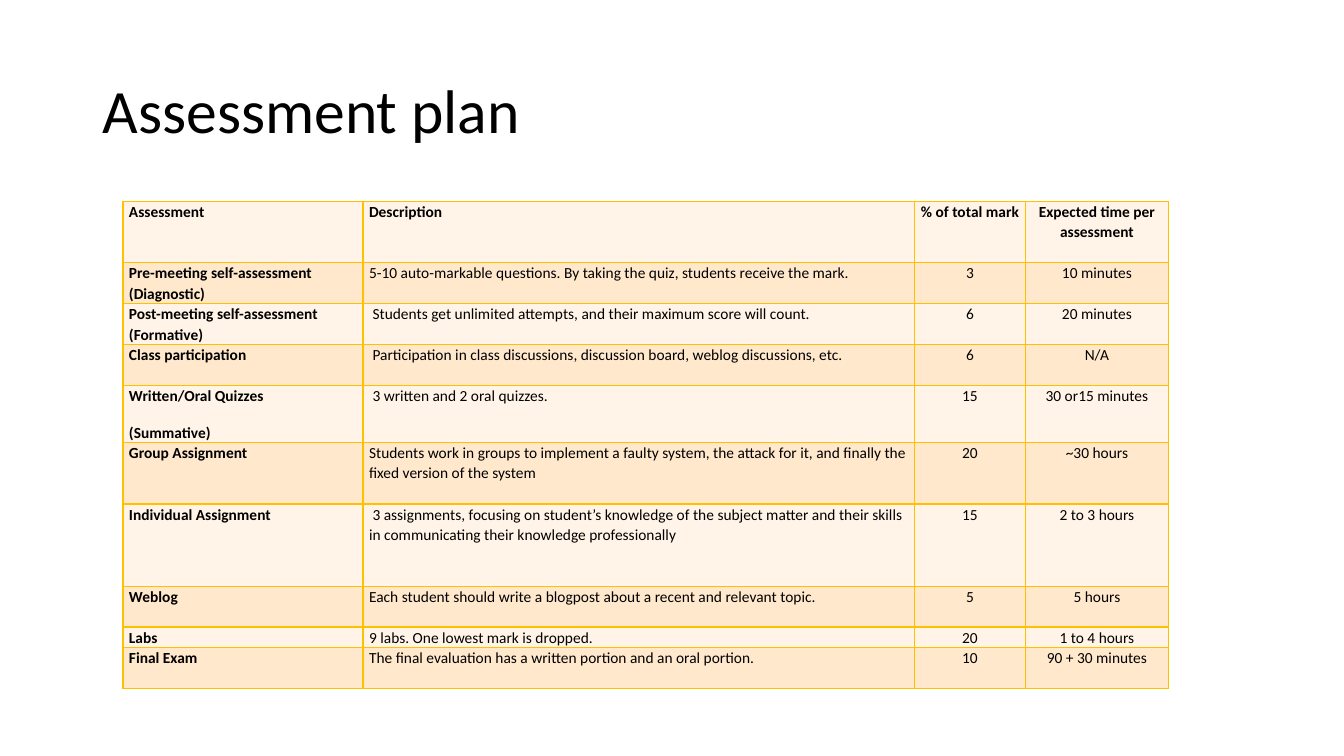
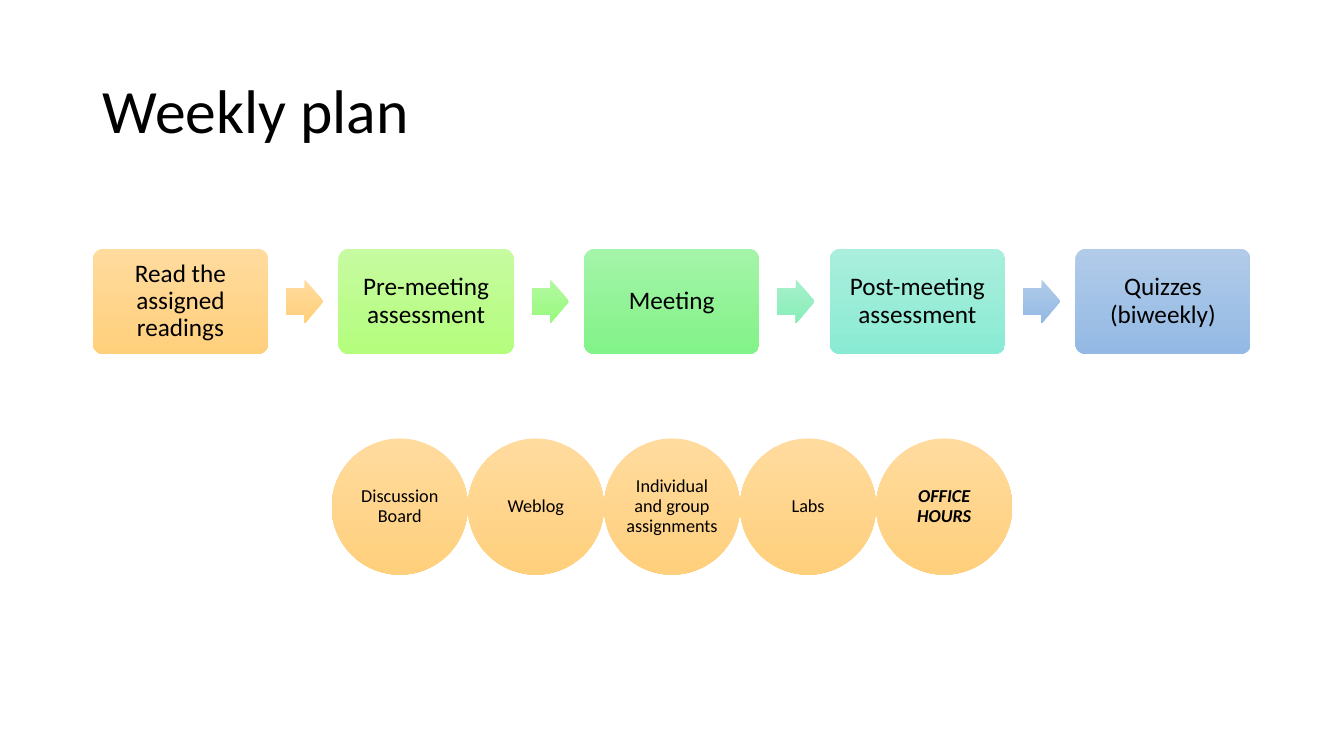
import dataclasses

import lxml.etree
import pptx
import pptx.dml.color
import pptx.enum.shapes
import pptx.enum.text
import pptx.oxml.ns
import pptx.util

Cm = pptx.util.Cm
Pt = pptx.util.Pt
SHAPE = pptx.enum.shapes.MSO_SHAPE
ALIGN = pptx.enum.text.PP_ALIGN
ANCHOR = pptx.enum.text.MSO_ANCHOR


@dataclasses.dataclass(frozen=True)
class Theme:
    font: str = "Calibri"
    ink: str = "000000"
    border: str = "FFC000"
    row_fills: tuple = ("FFF4E7", "FFE8CC")
    # Gradients run from top to bottom
    orange: tuple = ("FFDB9E", "FFD07C")
    lime: tuple = ("C6FBA0", "B4FD7D")
    leaf: tuple = ("B3F8A1", "98FA7E")
    green: tuple = ("A4F4A9", "82F388")
    mint: tuple = ("A8F0CA", "86EEB9")
    teal: tuple = ("AAEEDD", "89EBD3")
    blue: tuple = ("B1CBE9", "93B9E4")
    title_size: float = 44
    step_size: float = 18
    circle_size: float = 13
    table_size: float = 11
    tight: float = 0.9
    table_spacing: float = 1.07


class Slides:
    def __init__(self, theme):
        self.theme = theme
        self.deck = pptx.Presentation()
        self.deck.slide_width = Cm(33.87)
        self.deck.slide_height = Cm(19.05)
        self.page = None

    def color(self, value):
        return pptx.dml.color.RGBColor.from_string(value)

    def add_page(self, title):
        self.page = self.deck.slides.add_slide(self.deck.slide_layouts[6])
        box = self.page.shapes.add_textbox(Cm(2.34), Cm(1.02), Cm(29.21), Cm(3.68))
        box.text_frame.vertical_anchor = ANCHOR.MIDDLE
        self.add_text(box.text_frame, title, self.theme.title_size, ALIGN.LEFT)

    def add_text(self, frame, text, size, align=ALIGN.CENTER, spacing=None,
                 bold=False, italic=False):
        """Fill a text frame, one paragraph for each line of text."""
        frame.word_wrap = True
        for index, line in enumerate(text.split("\n")):
            para = frame.add_paragraph() if index else frame.paragraphs[0]
            para.alignment = align
            para.line_spacing = spacing or self.theme.tight
            if index:
                para.space_before = Pt(12)
            span = para.add_run()
            span.text = line
            span.font.name = self.theme.font
            span.font.size = Pt(size)
            span.font.bold = bold
            span.font.italic = italic
            span.font.color.rgb = self.color(self.theme.ink)

    def add_shape(self, kind, left, top, width, height, gradient, adjustments=()):
        shape = self.page.shapes.add_shape(
            kind, Cm(left), Cm(top), Cm(width), Cm(height))
        shape.shadow.inherit = False
        shape.line.fill.background()
        shape.fill.gradient()
        shape.fill.gradient_angle = 270
        for stop, value in zip(shape.fill.gradient_stops, gradient):
            stop.color.rgb = self.color(value)
        for index, value in enumerate(adjustments):
            shape.adjustments[index] = value
        return shape

    def label(self, shape, text, size, inset, **style):
        frame = shape.text_frame
        frame.margin_left = frame.margin_right = Cm(inset)
        frame.margin_top = frame.margin_bottom = Cm(inset)
        frame.vertical_anchor = ANCHOR.MIDDLE
        self.add_text(frame, text, size, **style)

    def border(self, cell):
        properties = cell._tc.get_or_add_tcPr()
        for side in ("lnL", "lnR", "lnT", "lnB"):
            line = lxml.etree.SubElement(
                properties, pptx.oxml.ns.qn("a:" + side), w=str(Pt(1)))
            fill = lxml.etree.SubElement(line, pptx.oxml.ns.qn("a:solidFill"))
            lxml.etree.SubElement(
                fill, pptx.oxml.ns.qn("a:srgbClr"), val=self.theme.border)

    def add_table(self, left, top, widths, heights, rows):
        table = self.page.shapes.add_table(
            len(rows), len(widths), Cm(left), Cm(top),
            Cm(sum(widths)), Cm(sum(heights))).table
        table.first_row = table.horz_banding = False
        for column, width in zip(table.columns, widths):
            column.width = Cm(width)
        for row, height in zip(table.rows, heights):
            row.height = Cm(height)
        for r, texts in enumerate(rows):
            for c, text in enumerate(texts):
                cell = table.cell(r, c)
                cell.margin_left = cell.margin_right = Cm(0.15)
                cell.margin_top = cell.margin_bottom = 0
                self.border(cell)
                cell.fill.solid()
                cell.fill.fore_color.rgb = self.color(self.theme.row_fills[r % 2])
                self.add_text(cell.text_frame, text, self.theme.table_size,
                              ALIGN.LEFT if c < 2 else ALIGN.CENTER,
                              self.theme.table_spacing, bold=r == 0 or c == 0)


ASSESSMENTS = [
    ("Assessment", "Description", "% of total mark", "Expected time per assessment"),
    ("Pre-meeting self-assessment (Diagnostic)",
     "5-10 auto-markable questions. By taking the quiz, students receive the mark.",
     "3", "10 minutes"),
    ("Post-meeting self-assessment (Formative)",
     " Students get unlimited attempts, and their maximum score will count.",
     "6", "20 minutes"),
    ("Class participation",
     " Participation in class discussions, discussion board, weblog discussions, etc.",
     "6", "N/A"),
    ("Written/Oral Quizzes\n(Summative)", " 3 written and 2 oral quizzes.",
     "15", "30 or15 minutes"),
    ("Group Assignment",
     "Students work in groups to implement a faulty system, the attack for it, "
     "and finally the fixed version of the system",
     "20", "~30 hours"),
    ("Individual Assignment",
     " 3 assignments, focusing on student’s knowledge of the subject matter and "
     "their skills in communicating their knowledge professionally",
     "15", "2 to 3 hours"),
    ("Weblog",
     "Each student should write a blogpost about a recent and relevant topic.",
     "5", "5 hours"),
    ("Labs", "9 labs. One lowest mark is dropped.", "20", "1 to 4 hours"),
    ("Final Exam", "The final evaluation has a written portion and an oral portion.",
     "10", "90 + 30 minutes"),
]


def assessment_plan(slides):
    slides.add_page("Assessment plan")
    slides.add_table(
        3.1, 5.07, (6.05, 13.9, 2.79, 3.61),
        (1.55, 1.03, 1.03, 1.03, 1.44, 1.55, 2.07, 1.03, 0.52, 1.03), ASSESSMENTS)


def weekly_plan(slides):
    theme = slides.theme
    slides.add_page("Weekly plan")

    # Weekly steps, each followed by an arrow except the last
    steps = [
        ("Read the assigned readings", theme.orange, theme.orange),
        ("Pre-meeting assessment", theme.lime, theme.leaf),
        ("Meeting", theme.green, theme.mint),
        ("Post-meeting assessment", theme.teal, theme.blue),
        ("Quizzes (biweekly)", theme.blue, None),
    ]
    top, width, height = 6.27, 4.42, 2.65
    arrow_width, arrow_height = 0.94, 1.1
    for index, (text, step_fill, arrow_fill) in enumerate(steps):
        left = 2.34 + index * 6.19
        step = slides.add_shape(SHAPE.ROUNDED_RECTANGLE, left, top, width, height,
                                step_fill, (0.1,))
        slides.label(step, text, theme.step_size, 0.25)
        if arrow_fill:
            slides.add_shape(SHAPE.RIGHT_ARROW, left + width + 0.45,
                             top + (height - arrow_height) / 2,
                             arrow_width, arrow_height, arrow_fill, (0.6, 0.5))

    # Ongoing activities, as touching circles
    activities = ("Discussion Board", "Weblog", "Individual and group assignments",
                  "Labs", "OFFICE HOURS")
    diameter = 3.43
    for index, text in enumerate(activities):
        circle = slides.add_shape(SHAPE.OVAL, 8.36 + index * diameter, 11.05,
                                  diameter, diameter, theme.orange)
        strong = text.isupper()
        slides.label(circle, text, theme.circle_size, 0, bold=strong, italic=strong)


def main():
    slides = Slides(Theme())
    assessment_plan(slides)
    weekly_plan(slides)
    slides.deck.save("out.pptx")


if __name__ == "__main__":
    main()
